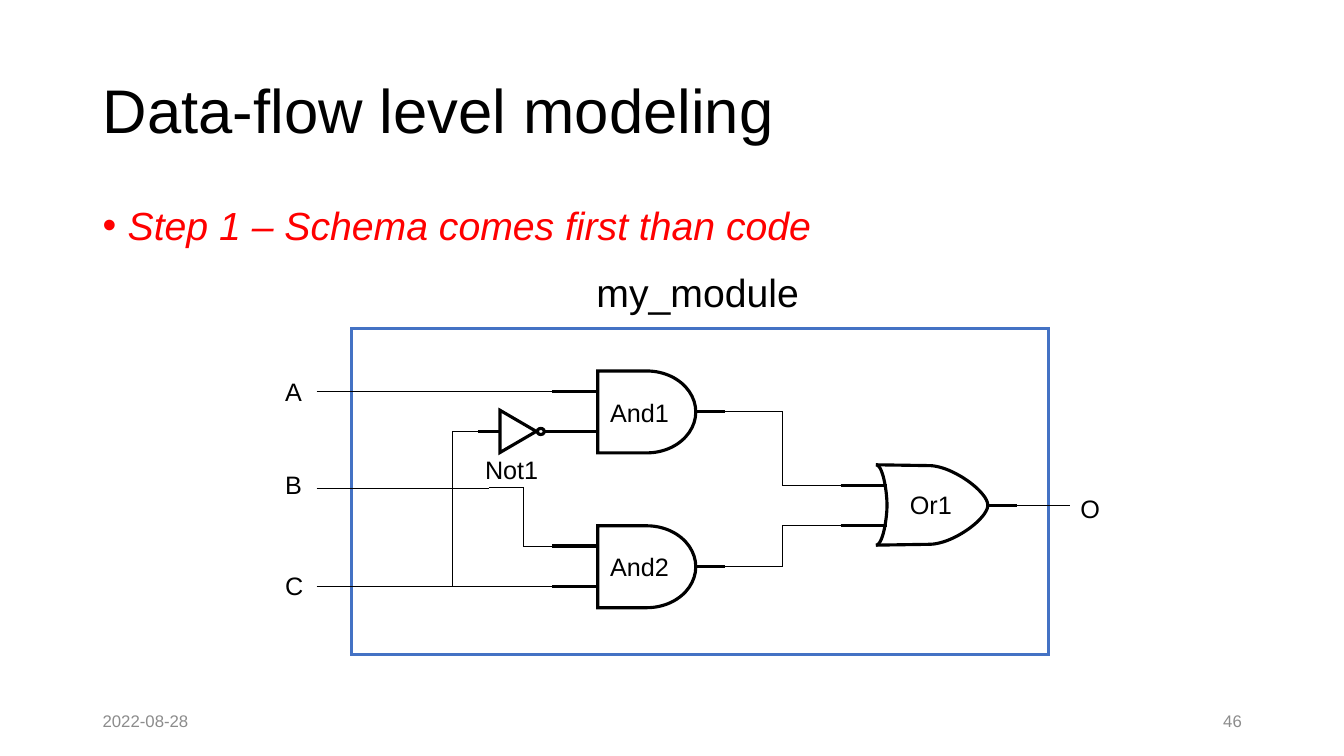
import pptx
import pptx.util
import pptx.dml.color
import pptx.enum.shapes
import pptx.enum.text
import pptx.oxml
import pptx.oxml.ns

Pt = pptx.util.Pt
RGB = pptx.dml.color.RGBColor
SHAPE = pptx.enum.shapes.MSO_SHAPE
LINK = pptx.enum.shapes.MSO_CONNECTOR
ALIGN = pptx.enum.text.PP_ALIGN
ANCHOR = pptx.enum.text.MSO_ANCHOR

BLACK = RGB(0x00, 0x00, 0x00)
RED = RGB(0xFF, 0x00, 0x00)
BLUE = RGB(0x44, 0x72, 0xC4)
GRAY = RGB(0x8C, 0x8C, 0x8C)
FONT = "Arial"
THICK, THIN = 2.25, 0.5

TITLE = "Data-flow level modeling"
STEP = "Step 1 – Schema comes first than code"

# Text, left, top, width, height, size, alignment
LABELS = [
    ("A", 196.6, 265, 26.6, 29, 18, ALIGN.LEFT),
    ("B", 196.6, 331.9, 26.6, 29, 18, ALIGN.LEFT),
    ("C", 196.6, 403.9, 27.4, 29, 18, ALIGN.LEFT),
    ("O", 764.6, 348.5, 28.8, 29, 18, ALIGN.LEFT),
    ("my_module", 419, 187.9, 161.3, 41, 28, ALIGN.LEFT),
    ("Or1", 632.9, 345.6, 64.1, 29, 18, ALIGN.CENTER),
    ("Not1", 333.4, 321.1, 64.1, 29, 18, ALIGN.CENTER),
]
FOOTER = [
    ("2022-08-28", 66.2, ALIGN.LEFT),
    ("46", 678.2, ALIGN.RIGHT),
]

# Columns and rows shared by gates and wires
IN_X, AND_X, AND_END, OUT_X = 394.6, 427, 497.2, 517.7
OR_IN, OR_X, OR_TIP, OR_OUT = 600.5, 625.7, 705.6, 726.5
PORT_X, FORK_X, TURN_X = 226.1, 323.3, 349.2
A_Y, NOT_Y, AND_Y, B_Y = 279.4, 308.2, 294.2, 348.5
OR_TOP, OR_Y, OR_LOW = 346.8, 360.9, 375.1
STEP_Y = 110.6
AND_GATES = [("And1", 0), ("And2", STEP_Y)]
C_Y = NOT_Y + STEP_Y
AND2_IN = A_Y + STEP_Y

PINS = [
    (OR_IN, OR_LOW, 633.6, OR_LOW),
    (OR_IN, OR_TOP, 633.6, OR_TOP),
    (OR_TIP, OR_Y, OR_OUT, OR_Y),
    (341.3, NOT_Y, 357.8, NOT_Y),
    (388.4, NOT_Y, 398.9, NOT_Y),
]
for name, down in AND_GATES:
    PINS += [
        (IN_X, A_Y + down, AND_X, A_Y + down),
        (IN_X, NOT_Y + down, AND_X, NOT_Y + down),
        (AND_END, AND_Y + down, OUT_X, AND_Y + down),
    ]
WIRES = [
    (PORT_X, A_Y, IN_X, A_Y),
    (PORT_X, B_Y, TURN_X, B_Y),
    (PORT_X, C_Y, IN_X, C_Y),
    (FORK_X, C_Y, FORK_X, NOT_Y),
    (FORK_X, NOT_Y, 347, NOT_Y),
    (710.6, OR_Y, 764.6, OR_Y),
]
BENDS = [
    (OUT_X, AND_Y, OR_IN, OR_TOP),
    (OUT_X, AND_Y + STEP_Y, OR_IN, OR_LOW),
    (TURN_X, B_Y, 398.9, AND2_IN),
]

deck = pptx.Presentation()
deck.slide_width, deck.slide_height = Pt(960), Pt(540)
slide = deck.slides.add_slide(deck.slide_layouts[5])
shapes = slide.shapes


def write(para, text, size, color=BLACK, align=ALIGN.LEFT, slant=False):
    para.alignment = align
    run = para.add_run()
    run.text = text
    font = run.font
    font.name, font.size, font.italic = FONT, Pt(size), slant
    font.color.rgb = color


def box(left, top, width, height, wrap):
    frame = shapes.add_textbox(Pt(left), Pt(top), Pt(width), Pt(height)).text_frame
    frame.word_wrap = wrap
    return frame


def pen(item, width, color=BLACK):
    item.line.color.rgb = color
    item.line.width = Pt(width)
    miter = pptx.oxml.parse_xml(
        f'<a:miter {pptx.oxml.ns.nsdecls("a")} lim="800000"/>')
    item.line._get_or_add_ln().append(miter)


def wire(kind, ends, width):
    link = shapes.add_connector(kind, *[Pt(v) for v in ends])
    pen(link, width)
    link._element.spPr.append(
        pptx.oxml.parse_xml(f'<a:effectLst {pptx.oxml.ns.nsdecls("a")}/>'))


def hollow(item, color=BLACK):
    """Leave only the outline of a shape."""
    item.shadow.inherit = False
    item.fill.background()
    pen(item, THICK, color)
    return item


def gate(kind, left, top, width, height, color=BLACK):
    return hollow(shapes.add_shape(kind, Pt(left), Pt(top), Pt(width), Pt(height)), color)


def curve(a, b, c, d, steps=24):
    """Points on a cubic curve from a to d."""
    for i in range(steps + 1):
        t = i / steps
        u = 1 - t
        yield tuple(u**3 * p + 3 * u * u * t * q + 3 * u * t * t * r + t**3 * s
                    for p, q, r, s in zip(a, b, c, d))


def outline(dots):
    dots = [(Pt(x), Pt(y)) for x, y in dots]
    path = shapes.build_freeform(*dots[0])
    path.add_line_segments(dots[1:], close=False)
    hollow(path.convert_to_shape())


# Heading and step
title = shapes.title
title.left, title.top, title.width, title.height = Pt(66.2), Pt(28.8), Pt(828), Pt(104.4)
title.text_frame.vertical_anchor = ANCHOR.MIDDLE
head = title.text_frame.paragraphs[0]
head.line_spacing = 0.9
write(head, TITLE, 44)

step = box(66.2, 144, 828, 342.7, True).paragraphs[0]
props = step._p.get_or_add_pPr()
props.set("marL", str(Pt(18)))
props.set("indent", str(-Pt(18)))
for tag, key, value in [("buFont", "typeface", FONT), ("buChar", "char", "•")]:
    props.append(pptx.oxml.parse_xml(
        f'<a:{tag} {pptx.oxml.ns.nsdecls("a")} {key}="{value}"/>'))
step.line_spacing = 0.9
write(step, STEP, 28, RED, slant=True)

# Circuit
for ends in PINS:
    wire(LINK.STRAIGHT, ends, THICK)
for name, down in AND_GATES:
    body = gate(SHAPE.FLOWCHART_DELAY, AND_X, 265 + down, 70, 58.5)
    body.text_frame.vertical_anchor = ANCHOR.MIDDLE
    write(body.text_frame.paragraphs[0], name, 18, align=ALIGN.CENTER)

top, low = 332, 389.4
tip = (OR_TIP, OR_Y)
outline([(OR_X, top),
         *curve((664.6, 332.6), (681.1, 333.4), (OR_TIP, 351.4), tip),
         *curve(tip, (OR_TIP, 370.1), (681.8, 388.1), (664.6, 388.8)),
         (OR_X, low)])
back = (633.6, OR_Y)
outline([*curve((OR_X, low), (630.7, low), (633.6, 370.1), back),
         *curve(back, (633.6, 351.4), (630.7, top), (OR_X, top))])

gate(SHAPE.OVAL, 383.8, 306, 5, 4.4)
gate(SHAPE.ISOSCELES_TRIANGLE, 355, 295.2, 30.2, 25.9).rotation = 90
for ends in BENDS:
    wire(LINK.ELBOW, ends, THIN)
gate(SHAPE.RECTANGLE, 251.3, 234.7, 497.5, 232.6, BLUE)
for ends in WIRES:
    wire(LINK.STRAIGHT, ends, THIN)

# Labels and footer
for text, left, top, width, height, size, align in LABELS:
    write(box(left, top, width, height, False).paragraphs[0], text, size, align=align)
for text, left, align in FOOTER:
    frame = box(left, 500.4, 216, 28.8, True)
    frame.vertical_anchor = ANCHOR.MIDDLE
    write(frame.paragraphs[0], text, 12, GRAY, align)

deck.save("out.pptx")
